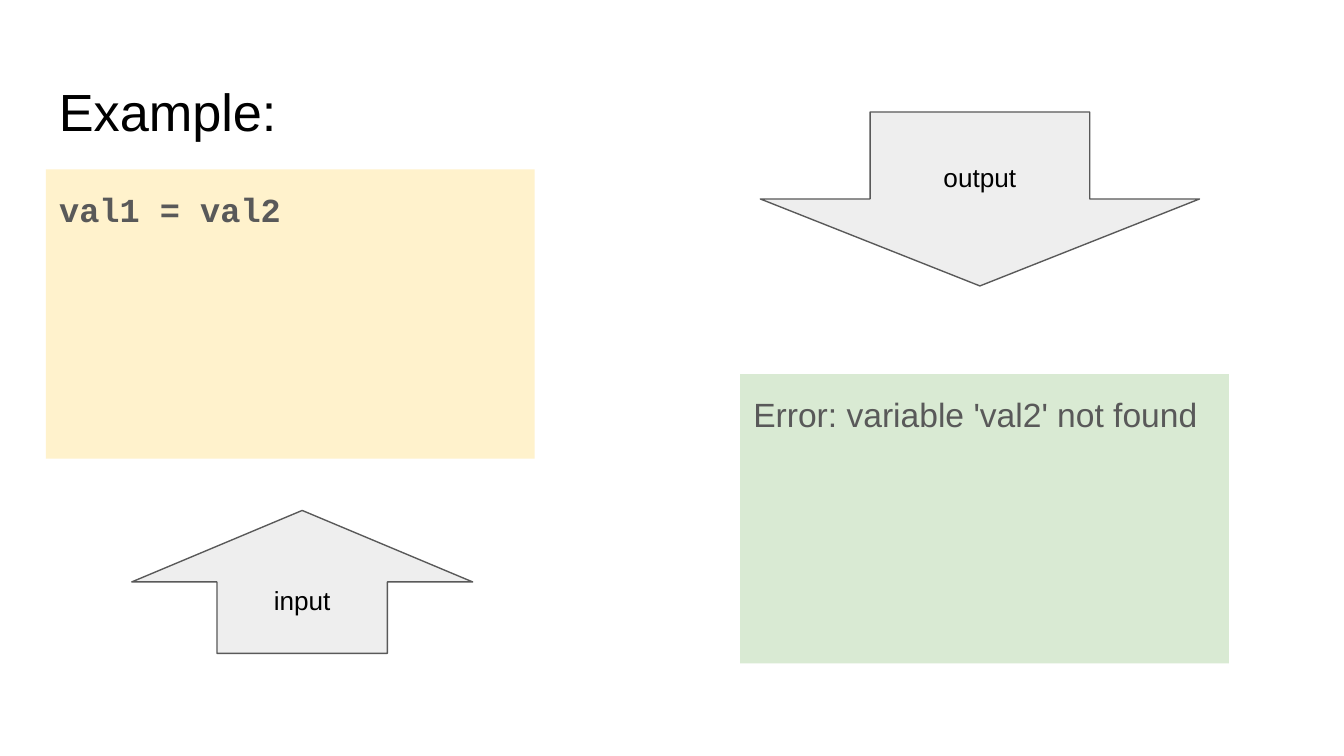
from pptx import Presentation
from pptx.dml.color import RGBColor
from pptx.enum.shapes import MSO_SHAPE
from pptx.enum.text import MSO_ANCHOR, PP_ALIGN
from pptx.util import Pt

THEME = {
    "black": RGBColor(0x00, 0x00, 0x00),
    "gray": RGBColor(0x59, 0x59, 0x59),
    "code_fill": RGBColor(0xFF, 0xF2, 0xCC),
    "result_fill": RGBColor(0xD9, 0xEA, 0xD3),
    "arrow_fill": RGBColor(0xEE, 0xEE, 0xEE),
    "sans": "Arial",
    "mono": "Courier New",
    "title": Pt(28),
    "body": Pt(18),
    "label": Pt(14),
}
INSET = Pt(7.2)


def write(shape, text, anchor, paragraph_format, font_format, color):
    """Put one formatted paragraph into a shape."""
    frame = shape.text_frame
    frame.word_wrap = True
    frame.vertical_anchor = anchor
    for side in ("left", "top", "right", "bottom"):
        setattr(frame, f"margin_{side}", INSET)
    para = frame.paragraphs[0]
    for name, value in paragraph_format.items():
        setattr(para, name, value)
    span = para.add_run()
    span.text = text
    for name, value in font_format.items():
        setattr(span.font, name, value)
    span.font.color.rgb = color


def add_filled(page, preset, place, fill):
    """Add a flat preset shape without an outline."""
    shape = page.shapes.add_shape(preset, *map(Pt, place))
    shape.shadow.inherit = False
    shape.fill.solid()
    shape.fill.fore_color.rgb = fill
    shape.line.fill.background()
    return shape


deck = Presentation()
deck.slide_width, deck.slide_height = Pt(720), Pt(405)
page = deck.slides.add_slide(deck.slide_layouts[6])

title = page.shapes.add_textbox(Pt(24.5), Pt(35.3), Pt(671), Pt(45.4))
write(title, "Example:", MSO_ANCHOR.TOP, {"alignment": PP_ALIGN.LEFT},
      {"name": THEME["sans"], "size": THEME["title"]}, THEME["black"])

panel_size = (261.8, 155)
panels = [
    ("val1 = val2", (24.6, 90.8), "code_fill", "mono", True),
    ("Error: variable 'val2' not found", (396.5, 200.4), "result_fill", "sans", False),
]
for text, corner, fill, font, bold in panels:
    panel = add_filled(page, MSO_SHAPE.RECTANGLE, corner + panel_size, THEME[fill])
    write(panel, text, MSO_ANCHOR.TOP,
          {"alignment": PP_ALIGN.LEFT, "line_spacing": 1.15, "space_after": Pt(16)},
          {"name": THEME[font], "size": THEME["body"], "bold": bold}, THEME["gray"])

arrows = [
    ("input", MSO_SHAPE.UP_ARROW, (70.6, 273.5, 182.6, 76.6)),
    ("output", MSO_SHAPE.DOWN_ARROW, (407.3, 60, 235.3, 93.2)),
]
for text, preset, place in arrows:
    arrow = add_filled(page, preset, place, THEME["arrow_fill"])
    arrow.line.color.rgb = THEME["gray"]
    arrow.line.width = Pt(0.75)
    write(arrow, text, MSO_ANCHOR.MIDDLE, {"alignment": PP_ALIGN.CENTER},
          {"name": THEME["sans"], "size": THEME["label"]}, THEME["black"])

deck.save("out.pptx")
